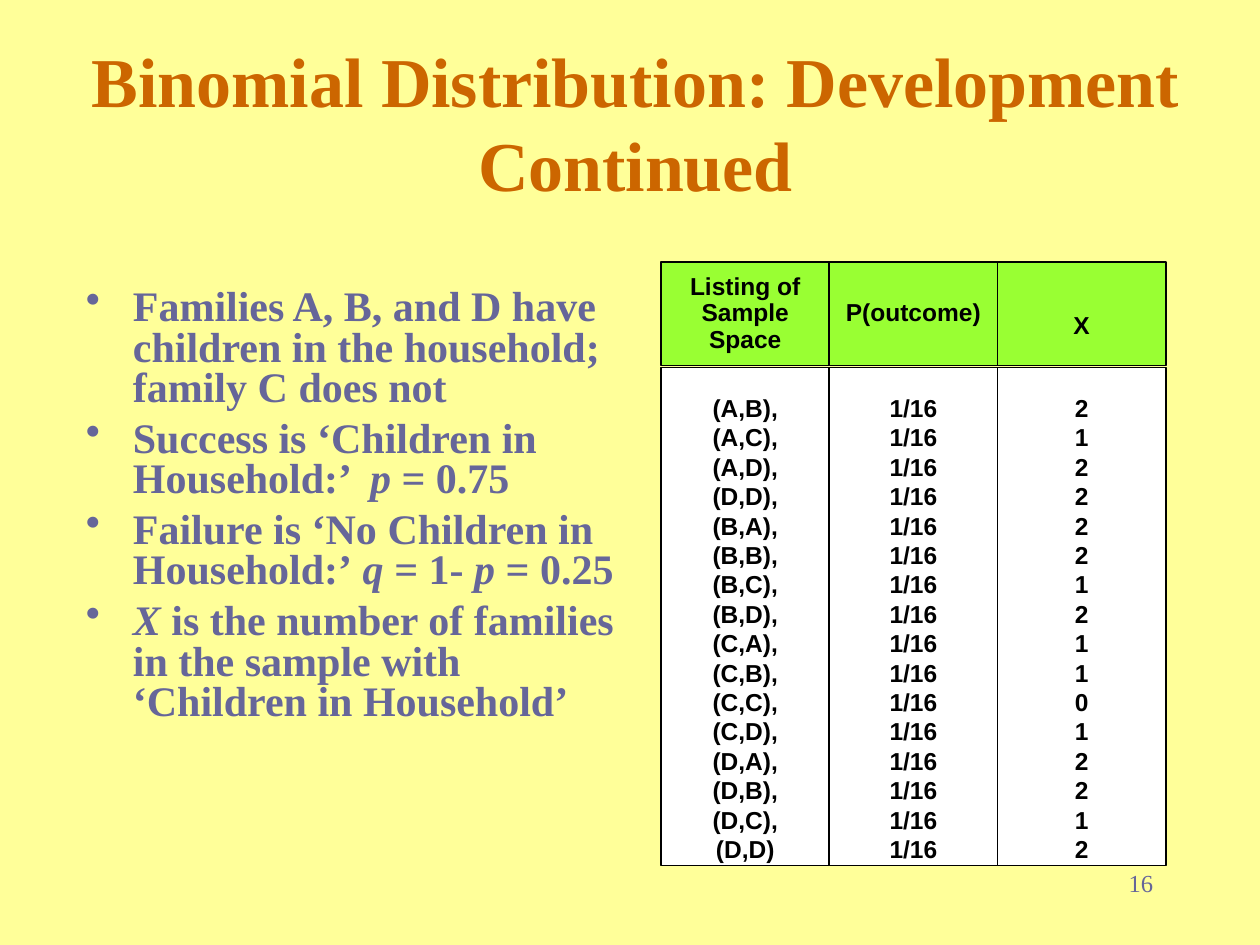
from lxml import etree
from pptx import Presentation
from pptx.dml.color import RGBColor
from pptx.enum import shapes, text
from pptx.oxml.ns import qn
from pptx.util import Cm, Pt


def color(value):
    return RGBColor.from_string(value)


def write(tf, lines, font="Arial", size=14, fill="000000", bold=True, align="CENTER",
          anchor="TOP", spacing=1.0, before=0, bullet=None, insets=(0.25, 0.13, 0.25, 0.13)):
    tf.word_wrap = True
    tf.auto_size = text.MSO_AUTO_SIZE.NONE
    tf.vertical_anchor = text.MSO_ANCHOR[anchor]
    tf.margin_left, tf.margin_top, tf.margin_right, tf.margin_bottom = map(Cm, insets)
    for i, line in enumerate(lines):
        p = tf.add_paragraph() if i else tf.paragraphs[0]
        p.alignment = text.PP_ALIGN[align]
        p.line_spacing = spacing
        p.space_before = Pt(before)
        if bullet:
            pPr = p._p.get_or_add_pPr()
            pPr.set("marL", str(Cm(0.95)))
            pPr.set("indent", str(-Cm(0.95)))
            etree.SubElement(pPr, qn("a:buChar")).set("char", bullet)
        for j, part in enumerate(line.split("*")):
            if part:
                r = p.add_run()
                r.text = part
                r.font.name = font
                r.font.size = Pt(size)
                r.font.bold = bold
                r.font.italic = j % 2 == 1
                r.font.color.rgb = color(fill)


prs = Presentation()
prs.slide_width, prs.slide_height = Cm(25.4), Cm(19.05)
s = prs.slides.add_slide(prs.slide_layouts[5])
s.background.fill.solid()
s.background.fill.fore_color.rgb = color("FFFF99")

title = s.shapes.title
title.left, title.top, title.width, title.height = Cm(1.06), Cm(0.85), Cm(23.5), Cm(3.18)
write(title.text_frame, ["Binomial Distribution: Development Continued"],
      font="Times New Roman", size=40, fill="CC6600", anchor="MIDDLE")

body = s.shapes.add_textbox(Cm(1.48), Cm(5.71), Cm(11.22), Cm(9.95))
write(body.text_frame, [
    "Families A, B, and D have children in the household; family C does not",
    "Success is ‘Children in Household:’  *p* = 0.75",
    "Failure is ‘No Children in Household:’* q *= 1-* p *= 0.25",
    "*X *is the number of families in the sample with ‘Children in Household’",
], font="Times New Roman", size=24, fill="666699", align="LEFT",
    spacing=0.8, before=6, bullet="•")

outcomes = ["(A,B), (A,C), (A,D), (D,D),", "(B,A), (B,B), (B,C), (B,D),",
            "(C,A), (C,B), (C,C), (C,D),", "(D,A), (D,B), (D,C), (D,D)"]
columns = [
    ("Listing of Sample Space", 0.13, outcomes),
    ("P(outcome)", 0.13, ["1/16"] * 16),
    ("X", 0.64, list("2122221211012212")),
]
grid = s.shapes.add_group_shape()
for i, (heading, inset, values) in enumerate(columns):
    cells = [
        (7.41, 10.04, "FFFFFF", values, dict(insets=(0.51,) * 4)),
        (5.29, 2.08, "99FF33", [heading],
         dict(anchor="MIDDLE", spacing=0.9, insets=(0.25, inset, 0.25, 0.13))),
    ]
    for top, height, fill, lines, fmt in cells:
        sp = grid.shapes.add_shape(shapes.MSO_SHAPE.RECTANGLE,
                                   Cm(13.33 + 3.39 * i), Cm(top), Cm(3.39), Cm(height))
        sp.shadow.inherit = False
        sp.fill.solid()
        sp.fill.fore_color.rgb = color(fill)
        sp.line.color.rgb = color("000000")
        sp.line.width = Pt(1)
        write(sp.text_frame, lines, **fmt)

number = s.shapes.add_textbox(Cm(21.38), Cm(17.36), Cm(2.12), Cm(1.27))
write(number.text_frame, ["16"], font="Times New Roman", fill="666699",
      bold=False, align="RIGHT", before=8.8)

prs.save("out.pptx")
